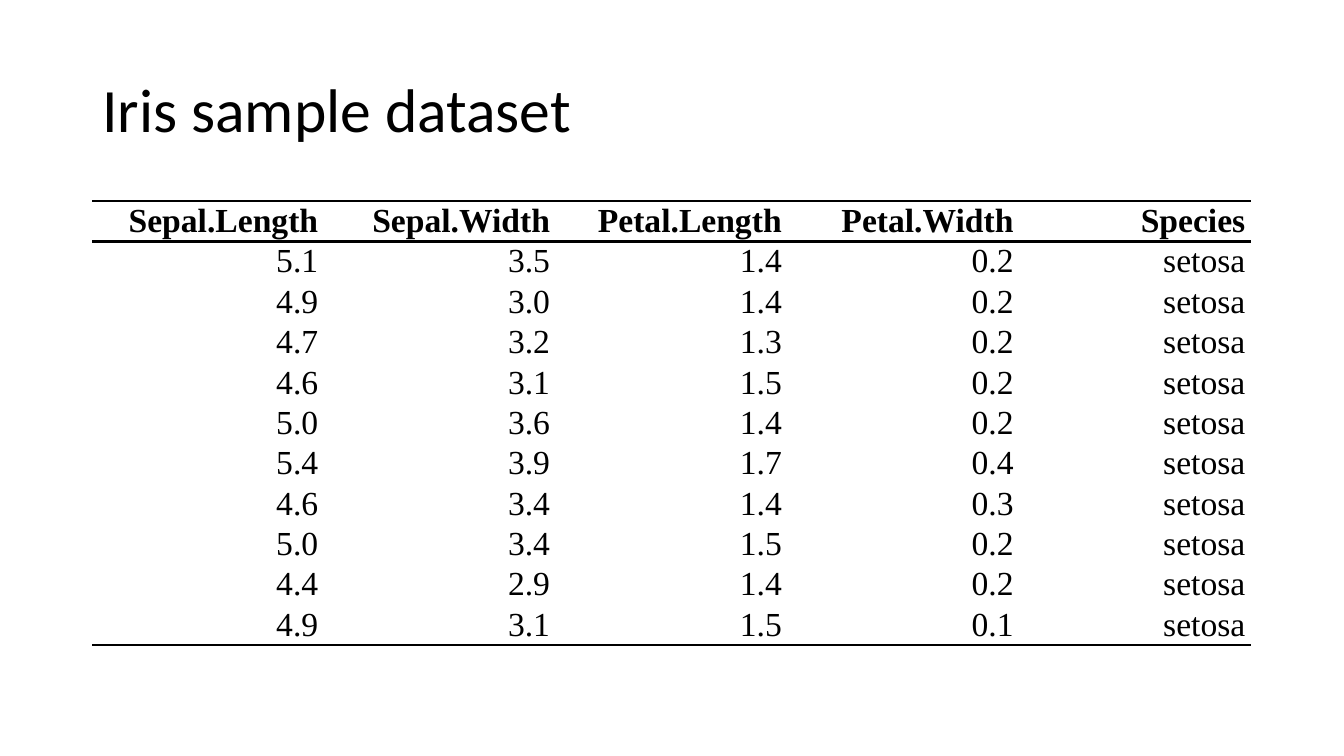
from dataclasses import dataclass

from lxml.etree import SubElement
from pptx import Presentation
from pptx.dml.color import RGBColor
from pptx.enum.text import MSO_ANCHOR, PP_ALIGN
from pptx.oxml.ns import qn
from pptx.util import Inches, Pt


@dataclass(frozen=True)
class Theme:
    """Colours, fonts, type sizes and line widths of the slide."""

    ink: str = "000000"
    title_font: str = "Calibri"
    table_font: str = "Times New Roman"
    title_size: int = 44
    table_size: int = 24
    rule_width: int = 2
    cell_indent: float = 0.06


THEME = Theme()
SLIDE_WIDTH, SLIDE_HEIGHT = 13.33, 7.5
MARGIN = 0.0688
TITLE_TOP, TITLE_HEIGHT = 0.052, 0.193
TABLE_TOP, ROW_HEIGHT = 0.266, 0.0493

HEADINGS = ("Sepal.Length", "Sepal.Width", "Petal.Length", "Petal.Width", "Species")
FLOWERS = (
    ("5.1", "3.5", "1.4", "0.2", "setosa"),
    ("4.9", "3.0", "1.4", "0.2", "setosa"),
    ("4.7", "3.2", "1.3", "0.2", "setosa"),
    ("4.6", "3.1", "1.5", "0.2", "setosa"),
    ("5.0", "3.6", "1.4", "0.2", "setosa"),
    ("5.4", "3.9", "1.7", "0.4", "setosa"),
    ("4.6", "3.4", "1.4", "0.3", "setosa"),
    ("5.0", "3.4", "1.5", "0.2", "setosa"),
    ("4.4", "2.9", "1.4", "0.2", "setosa"),
    ("4.9", "3.1", "1.5", "0.1", "setosa"),
)


def content_frame(top, height):
    """Return the box between the side margins for vertical shares of the slide."""
    return (
        Inches(MARGIN * SLIDE_WIDTH),
        Inches(top * SLIDE_HEIGHT),
        Inches((1 - 2 * MARGIN) * SLIDE_WIDTH),
        Inches(height * SLIDE_HEIGHT),
    )


def format_runs(paragraph, font_name, size, bold=False):
    """Apply the type style to every run of a paragraph."""
    for run in paragraph.runs:
        run.font.name = font_name
        run.font.size = Pt(size)
        run.font.bold = bold
        run.font.color.rgb = RGBColor.from_string(THEME.ink)


def add_title(slide, text):
    """Add the slide title, centred vertically in its box."""
    box = slide.shapes.add_textbox(*content_frame(TITLE_TOP, TITLE_HEIGHT))
    text_frame = box.text_frame
    text_frame.word_wrap = True
    text_frame.vertical_anchor = MSO_ANCHOR.MIDDLE
    text_frame.text = text
    paragraph = text_frame.paragraphs[0]
    paragraph.line_spacing = 0.9
    format_runs(paragraph, THEME.title_font, THEME.title_size)


def set_borders(cell, ruled_sides):
    """Draw rules on the given sides of a cell and clear the other sides."""
    properties = cell._tc.get_or_add_tcPr()
    for side in "LRTB":
        line = SubElement(properties, qn(f"a:ln{side}"))
        if side in ruled_sides:
            line.set("w", str(Pt(THEME.rule_width)))
            fill = SubElement(line, qn("a:solidFill"))
            SubElement(fill, qn("a:srgbClr")).set("val", THEME.ink)
        else:
            SubElement(line, qn("a:noFill"))


def fill_cell(cell, text, ruled_sides, bold):
    """Write right-aligned text into an unfilled cell with its rules."""
    set_borders(cell, ruled_sides)
    cell.fill.background()
    cell.margin_left = cell.margin_right = cell.margin_top = cell.margin_bottom = 0
    cell.vertical_anchor = MSO_ANCHOR.MIDDLE
    cell.text_frame.text = text
    paragraph = cell.text_frame.paragraphs[0]
    paragraph.alignment = PP_ALIGN.RIGHT
    paragraph.space_before = paragraph.space_after = 0
    paragraph_properties = paragraph._p.get_or_add_pPr()
    for name, indent in (("marL", THEME.cell_indent), ("marR", THEME.cell_indent), ("indent", 0)):
        paragraph_properties.set(name, str(Inches(indent)))
    format_runs(paragraph, THEME.table_font, THEME.table_size, bold)


def add_ruled_table(slide, headings, records):
    """Add a table ruled above and below the headings and below the last record."""
    rows = (headings, *records)
    frame = content_frame(TABLE_TOP, ROW_HEIGHT * len(rows))
    table = slide.shapes.add_table(len(rows), len(headings), *frame).table
    table.horz_banding = False
    rules = {0: "TB", 1: "T", len(records): "B"}
    for row_index, values in enumerate(rows):
        for column_index, value in enumerate(values):
            cell = table.cell(row_index, column_index)
            fill_cell(cell, value, rules.get(row_index, ""), bold=row_index == 0)


def main():
    """Build the slide and save the presentation."""
    presentation = Presentation()
    presentation.slide_width = Inches(SLIDE_WIDTH)
    presentation.slide_height = Inches(SLIDE_HEIGHT)
    slide = presentation.slides.add_slide(presentation.slide_layouts[6])
    add_title(slide, "Iris sample dataset")
    add_ruled_table(slide, HEADINGS, FLOWERS)
    presentation.save("out.pptx")


main()
